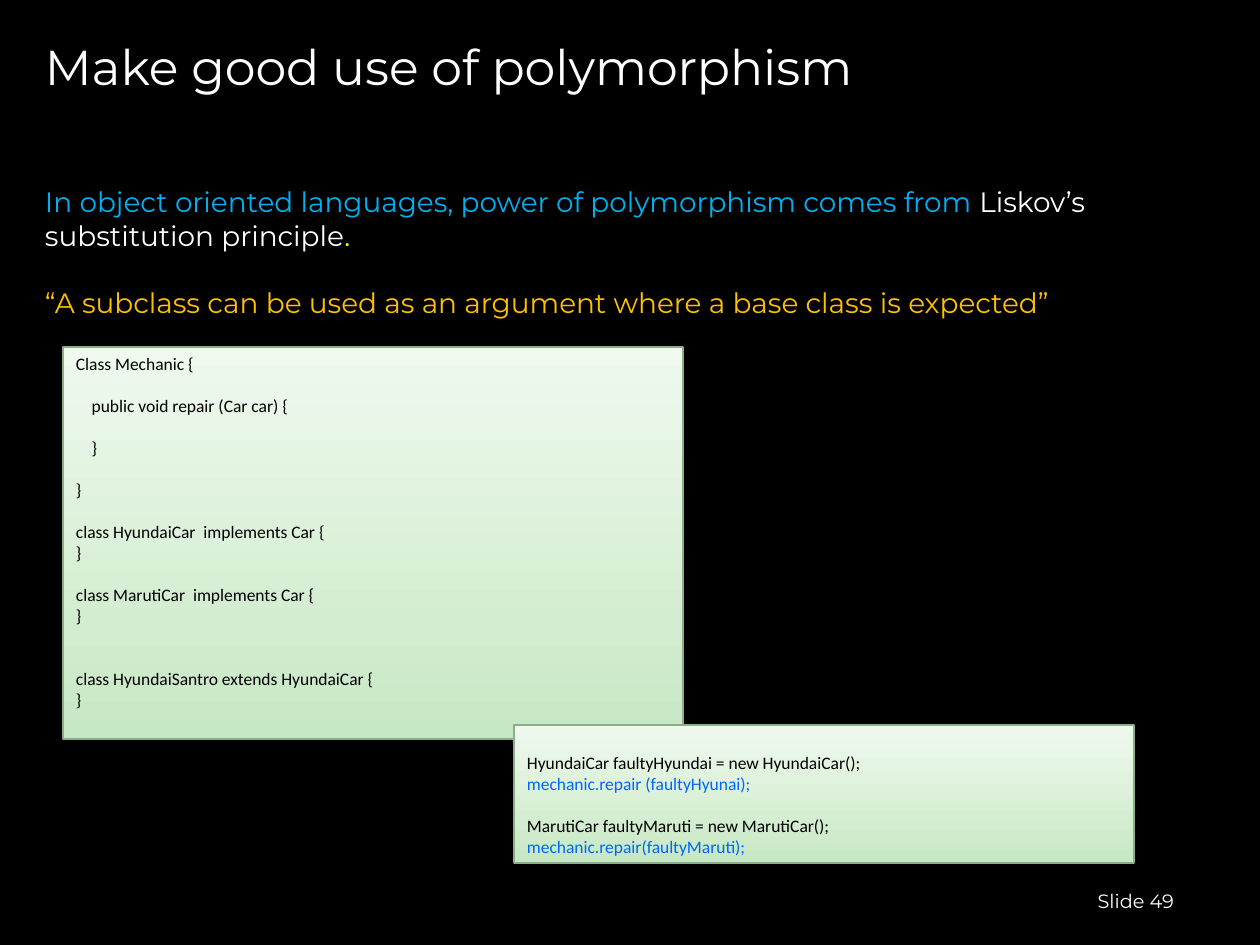
from dataclasses import dataclass
from typing import Optional

import pptx
import pptx.dml.color
import pptx.enum.shapes
import pptx.enum.text
import pptx.oxml
import pptx.oxml.ns
import pptx.util

EMU_PER_PX = 914400 / 126
ANCHOR = pptx.enum.text.MSO_ANCHOR
ALIGN = pptx.enum.text.PP_ALIGN


@dataclass(frozen=True)
class Theme:
    background: str = "000000"
    white: str = "FFFFFF"
    intro: str = "00B0F0"
    stop: str = "FFFF00"
    quote: str = "FFC000"
    code: str = "000000"
    call: str = "0066FF"
    box_bottom: str = "C7E8C4"
    box_top: str = "EFF9EE"
    box_line: str = "8BAD88"
    heading_font: str = "Montserrat"
    code_font: str = "Calibri"
    title_size: int = 28
    body_size: int = 16
    footer_size: int = 11
    code_size: int = 10
    body_gap: int = 19
    code_gap: int = 12


THEME = Theme()


@dataclass(frozen=True)
class Area:
    left: int
    top: int
    width: int
    height: int


@dataclass(frozen=True)
class Run:
    text: str
    color: str


@dataclass(frozen=True)
class Line:
    runs: tuple[Run, ...]
    gap: int = 0  # space before, in points


@dataclass(frozen=True)
class CodeBox:
    area: Area
    lines: list[Line]
    inset_top: int = 6


def px(value: int) -> pptx.util.Emu:
    return pptx.util.Emu(round(value * EMU_PER_PX))


def rgb(value: str) -> pptx.dml.color.RGBColor:
    return pptx.dml.color.RGBColor.from_string(value)


def bounds(area: Area) -> tuple:
    return px(area.left), px(area.top), px(area.width), px(area.height)


def line(text: str, color: str, gap: int = 0) -> Line:
    return Line((Run(text, color),), gap)


def code(text: str, blank_lines: int = 0, color: str = THEME.code) -> Line:
    return line(text, color, blank_lines * THEME.code_gap)


def write_text(shape, lines: list[Line], *, font: str, size: int,
               anchor=ANCHOR.TOP, align=ALIGN.LEFT,
               inset_top: int = 6, inset_right: int = 13) -> None:
    frame = shape.text_frame
    frame.word_wrap = True
    frame.vertical_anchor = anchor
    frame.margin_left, frame.margin_right = px(13), px(inset_right)
    frame.margin_top, frame.margin_bottom = px(inset_top), px(6)
    for index, item in enumerate(lines):
        paragraph = frame.paragraphs[0] if index == 0 else frame.add_paragraph()
        paragraph.alignment = align
        if item.gap:
            paragraph.space_before = pptx.util.Pt(item.gap)
        for part in item.runs:
            run = paragraph.add_run()
            run.text = part.text
            run.font.name = font
            run.font.size = pptx.util.Pt(size)
            run.font.color.rgb = rgb(part.color)


def add_shadow(shape) -> None:
    shape.shadow.inherit = False
    effects = shape._element.spPr.find(pptx.oxml.ns.qn("a:effectLst"))
    effects.append(pptx.oxml.parse_xml(
        f'<a:outerShdw {pptx.oxml.ns.nsdecls("a")} blurRad="0" dist="20000" '
        'dir="5400000" rotWithShape="0"><a:srgbClr val="000000">'
        '<a:alpha val="38000"/></a:srgbClr></a:outerShdw>'))


def add_code_box(slide, box: CodeBox) -> None:
    shape = slide.shapes.add_shape(
        pptx.enum.shapes.MSO_SHAPE.RECTANGLE, *bounds(box.area))
    shape.fill.gradient()
    shape.fill.gradient_angle = 90
    colors = (THEME.box_bottom, THEME.box_top)
    for position, (stop, color) in enumerate(zip(shape.fill.gradient_stops, colors)):
        stop.position = position
        stop.color.rgb = rgb(color)
    shape.line.color.rgb = rgb(THEME.box_line)
    shape.line.width = pptx.util.Pt(0.75)
    add_shadow(shape)
    write_text(shape, box.lines, font=THEME.code_font, size=THEME.code_size,
               inset_top=box.inset_top)


CODE_BOXES = [
    CodeBox(Area(63, 347, 620, 392), [
        code("Class Mechanic {"),
        code("    public void repair (Car car) {", 1),
        code("    }", 1),
        code("}", 1),
        code("class HyundaiCar  implements Car {", 1),
        code("}"),
        code("class MarutiCar  implements Car {", 1),
        code("}"),
        code("class HyundaiSantro extends HyundaiCar {", 2),
        code("}"),
    ]),
    CodeBox(Area(514, 725, 620, 138), [
        code("HyundaiCar faultyHyundai = new HyundaiCar();"),
        code("mechanic.repair (faultyHyunai);", color=THEME.call),
        code("MarutiCar faultyMaruti = new MarutiCar();", 1),
        code("mechanic.repair(faultyMaruti);", color=THEME.call),
    ], inset_top=27),
]


def main() -> None:
    presentation = pptx.Presentation()
    presentation.slide_width, presentation.slide_height = px(1260), px(945)
    slide = presentation.slides.add_slide(presentation.slide_layouts[6])
    slide.background.fill.solid()
    slide.background.fill.fore_color.rgb = rgb(THEME.background)

    # Title
    title = slide.shapes.add_textbox(*bounds(Area(32, 22, 1134, 88)))
    write_text(title, [line("Make good use of polymorphism", THEME.white)],
               font=THEME.heading_font, size=THEME.title_size, anchor=ANCHOR.MIDDLE)

    # Slide number
    footer = slide.shapes.add_textbox(*bounds(Area(903, 876, 294, 50)))
    write_text(footer, [line("Slide 49", THEME.white)], font=THEME.heading_font,
               size=THEME.footer_size, anchor=ANCHOR.MIDDLE, align=ALIGN.RIGHT,
               inset_right=23)

    # Principle and its quotation
    principle = slide.shapes.add_textbox(*bounds(Area(32, 179, 1166, 147)))
    write_text(principle, [
        Line((
            Run("In object oriented languages, power of polymorphism comes from ",
                THEME.intro),
            Run("Liskov’s substitution principle", THEME.white),
            Run(".", THEME.stop),
        )),
        line("“A subclass can be used as an argument where a base class is expected”",
             THEME.quote, THEME.body_gap),
    ], font=THEME.heading_font, size=THEME.body_size)

    # Code samples
    for box in CODE_BOXES:
        add_code_box(slide, box)

    presentation.save("out.pptx")


if __name__ == "__main__":
    main()
